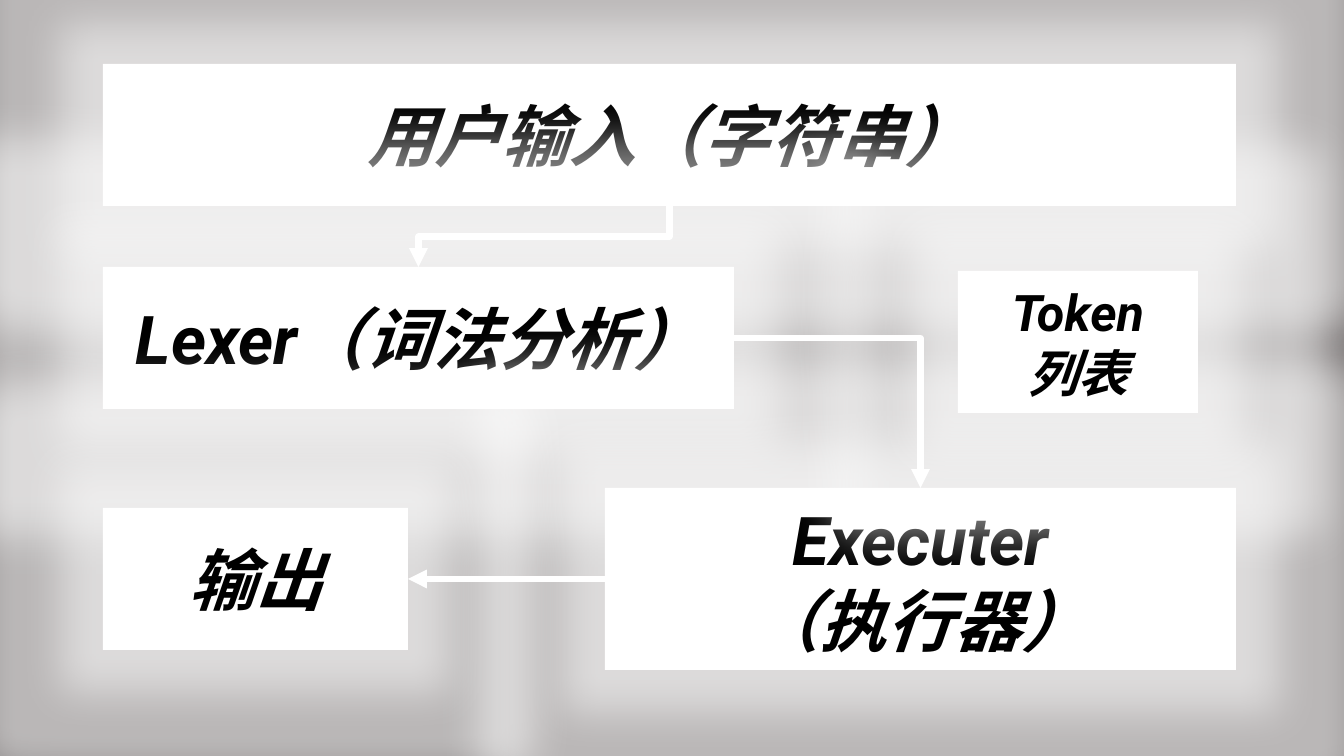
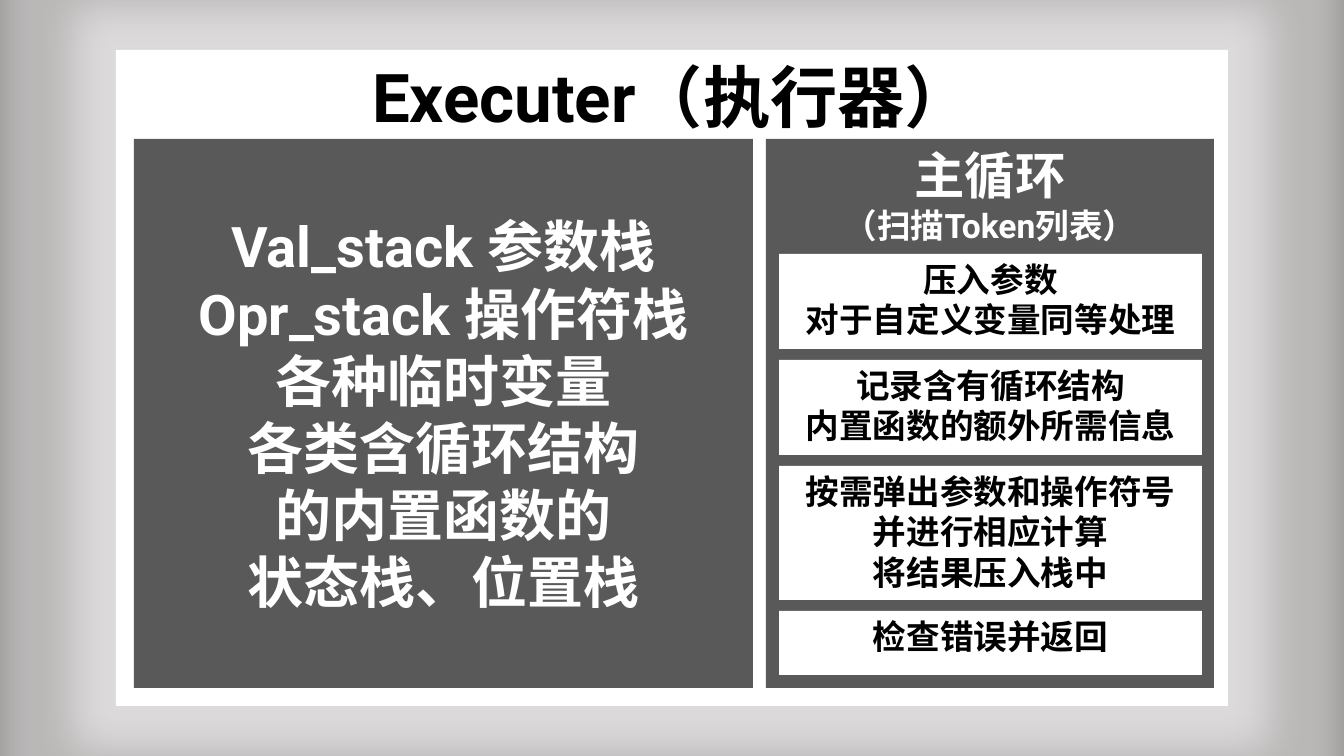
from dataclasses import dataclass

from lxml import etree
from pptx import Presentation
from pptx import util as u
from pptx.dml.color import RGBColor
from pptx.enum import lang, shapes, text
from pptx.oxml import ns

PX = 12192000 / 1344


@dataclass(frozen=True)
class Theme:
    backdrop: str = "767171"
    white: str = "FFFFFF"
    black: str = "000000"
    panel: str = "595959"
    font: str = "Roboto"
    heading: int = 48
    body: int = 40
    subheading: int = 36
    small: int = 24
    line: float = 4.5
    glow_radius: int = 85
    glow_alpha: int = 50000


theme = Theme()


def px(length):
    return u.Emu(round(length * PX))


def add_box(page, bounds, lines, fill=theme.white, color=theme.black,
            italic=False, middle=False, glow=False):
    """Add a filled rectangle; lines holds (wording, type size) pairs."""
    box = page.shapes.add_shape(shapes.MSO_SHAPE.RECTANGLE, *map(px, bounds))
    box.shadow.inherit = False
    box.fill.solid()
    box.fill.fore_color.rgb = RGBColor.from_string(fill)
    box.line.fill.background()
    if glow:
        effects = box._element.spPr.find(ns.qn("a:effectLst"))
        halo = etree.SubElement(effects, ns.qn("a:glow"), rad=str(px(theme.glow_radius)))
        tint = etree.SubElement(halo, ns.qn("a:srgbClr"), val=theme.white)
        etree.SubElement(tint, ns.qn("a:alpha"), val=str(theme.glow_alpha))

    frame = box.text_frame
    frame.word_wrap = True
    frame.vertical_anchor = text.MSO_ANCHOR.MIDDLE if middle else text.MSO_ANCHOR.TOP
    for index, (wording, size) in enumerate(lines):
        para = frame.add_paragraph() if index else frame.paragraphs[0]
        para.alignment = text.PP_ALIGN.CENTER
        span = para.add_run()
        span.text = wording
        span.font.color.rgb = RGBColor.from_string(color)
        formats = {"name": theme.font, "size": u.Pt(size), "bold": True, "italic": italic,
                   "language_id": lang.MSO_LANGUAGE_ID.SIMPLIFIED_CHINESE}
        for name, value in formats.items():
            setattr(span.font, name, value)
        etree.SubElement(span.font._element, ns.qn("a:ea"), typeface=theme.font)
    return box


deck = Presentation()
deck.slide_width, deck.slide_height = px(1344), px(756)
pages = []
for _ in range(2):
    page = deck.slides.add_slide(deck.slide_layouts[6])
    page.background.fill.solid()
    page.background.fill.fore_color.rgb = RGBColor.from_string(theme.backdrop)
    pages.append(page)
flow_page, executer_page = pages

# Flow from user input to output
stages = {
    "input": ((103, 64, 1133, 142), theme.heading, ["用户输入（字符串）"]),
    "lexer": ((103, 267, 631, 142), theme.heading, ["Lexer（词法分析）"]),
    "executer": ((605, 488, 631, 182), theme.heading, ["Executer", "（执行器）"]),
    "tokens": ((958, 271, 240, 142), theme.subheading, ["Token", "列表"]),
    "output": ((103, 508, 305, 142), theme.heading, ["输出"]),
}
boxes = {}
for name, (bounds, size, lines) in stages.items():
    boxes[name] = add_box(flow_page, bounds, [(line, size) for line in lines],
                          italic=True, middle=True, glow=True)

TOP, LEFT, BOTTOM, RIGHT = range(4)
links = [
    ("input", BOTTOM, "lexer", TOP, "bentConnector3"),
    ("lexer", RIGHT, "executer", TOP, "bentConnector2"),
    ("executer", LEFT, "output", RIGHT, "line"),
]
for source, source_side, target, target_side, preset in links:
    kind = shapes.MSO_CONNECTOR.STRAIGHT if preset == "line" else shapes.MSO_CONNECTOR.ELBOW
    arrow = flow_page.shapes.add_connector(kind, 0, 0, 0, 0)
    arrow.begin_connect(boxes[source], source_side)
    arrow.end_connect(boxes[target], target_side)
    properties = arrow._element.spPr
    properties.find(ns.qn("a:prstGeom")).set("prst", preset)
    if source_side == BOTTOM:
        # A quarter turn makes the elbow leave downwards
        width, height = arrow.width, arrow.height
        shift = (width - height) // 2
        arrow.left, arrow.top = arrow.left + shift, arrow.top - shift
        arrow.width, arrow.height = height, width
        turn = properties.find(ns.qn("a:xfrm"))
        turn.attrib.pop("flipH", None)
        turn.set("rot", "5400000")
    arrow.line.width = u.Pt(theme.line)
    arrow.line.color.rgb = RGBColor.from_string(theme.white)
    etree.SubElement(arrow.line._get_or_add_ln(), ns.qn("a:tailEnd"), type="triangle")
    etree.SubElement(properties, ns.qn("a:effectLst"))

# Inside the executer
add_box(executer_page, (116, 50, 1112, 656), [("Executer（执行器）", theme.heading)], glow=True)
state_lines = ["Val_stack 参数栈", "Opr_stack 操作符栈", "各种临时变量",
               "各类含循环结构", "的内置函数的", "状态栈、位置栈"]
add_box(executer_page, (134, 139, 619, 549), [(line, theme.body) for line in state_lines],
        fill=theme.panel, color=theme.white, middle=True)
add_box(executer_page, (766, 139, 448, 549),
        [("主循环", theme.subheading), ("（扫描Token列表）", theme.small)],
        fill=theme.panel, color=theme.white)

steps = [
    (95, ["压入参数", "对于自定义变量同等处理"]),
    (95, ["记录含有循环结构", "内置函数的额外所需信息"]),
    (134, ["按需弹出参数和操作符号", "并进行相应计算", "将结果压入栈中"]),
    (64, ["检查错误并返回"]),
]
step_top, step_gap = 254, 11
for height, lines in steps:
    add_box(executer_page, (779, step_top, 423, height), [(line, theme.small) for line in lines])
    step_top += height + step_gap

deck.save("out.pptx")
